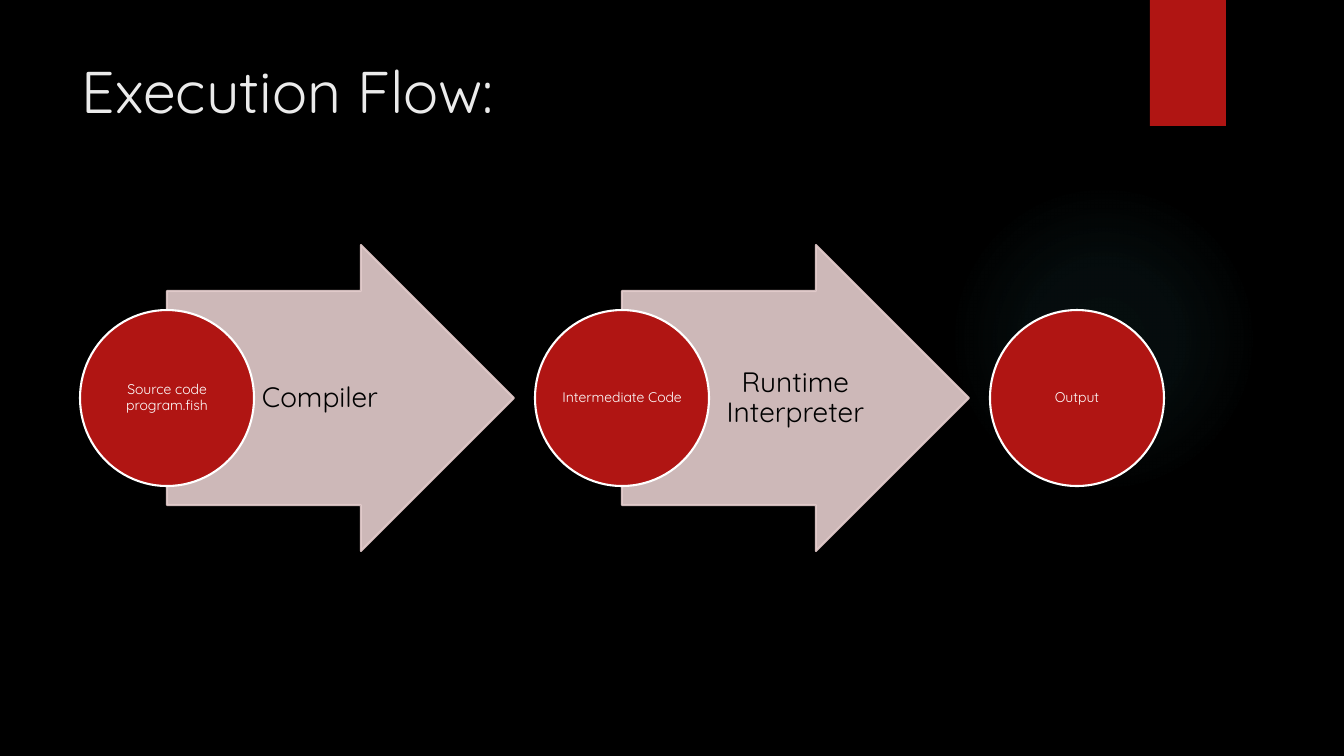
from dataclasses import dataclass

from lxml import etree
from pptx import Presentation
from pptx.dml.color import RGBColor
from pptx.enum.shapes import MSO_SHAPE
from pptx.enum.text import MSO_ANCHOR, MSO_AUTO_SIZE, PP_ALIGN
from pptx.oxml import parse_xml
from pptx.oxml.ns import nsdecls, qn
from pptx.util import Pt

OVAL, RECT = MSO_SHAPE.OVAL, MSO_SHAPE.RECTANGLE
TOP, MIDDLE = MSO_ANCHOR.TOP, MSO_ANCHOR.MIDDLE
LEFT, CENTER = PP_ALIGN.LEFT, PP_ALIGN.CENTER
NO_FIT = MSO_AUTO_SIZE.NONE
TITLE_ONLY = 5
EMU_PER_PX = 914400 / 100.8


@dataclass(frozen=True)
class Theme:
    font: str = "Quicksand"
    background: str = "000000"
    title: str = "EBEBEB"
    accent: str = "B01513"
    arrow: str = "E4CCCC"
    arrow_text: str = "000000"
    node_text: str = "FFFFFF"
    glow: str = "50B9C1"
    title_size: int = 42
    arrow_size: int = 20
    node_size: int = 10
    line_width: float = 1.5


THEME = Theme()
NODES = ["Source code program.fish", "Intermediate Code", "Output"]
STEPS = [("Compiler", LEFT, 95), ("Runtime Interpreter", CENTER, 70)]


def px(n):
    return round(n * EMU_PER_PX)


def set_attrs(obj, values):
    for name, value in values.items():
        setattr(obj, name, value)


def paint(shape, color, line=None):
    shape.shadow.inherit = False
    shape.fill.solid()
    shape.fill.fore_color.rgb = RGBColor.from_string(color)
    if line:
        shape.line.color.rgb = RGBColor.from_string(line)
        shape.line.width = Pt(THEME.line_width)
    else:
        shape.line.fill.background()


def set_opacity(shape, percent):
    for clr in shape.element.spPr.iter(qn("a:srgbClr")):
        etree.SubElement(clr, qn("a:alpha")).set("val", str(percent * 1000))


def write(shape, text, size, color, align, anchor, insets, spacing):
    tf = shape.text_frame
    left, top, right, bottom = map(px, insets)
    set_attrs(tf, {
        "text": text, "word_wrap": True, "auto_size": NO_FIT,
        "vertical_anchor": anchor, "margin_left": left, "margin_top": top,
        "margin_right": right, "margin_bottom": bottom,
    })
    p = tf.paragraphs[0]
    set_attrs(p, {"alignment": align, "line_spacing": spacing})
    font = p.runs[0].font
    set_attrs(font, {"name": THEME.font, "size": Pt(size)})
    font.color.rgb = RGBColor.from_string(color)


def add_glow(s, x, y, size):
    sp = s.shapes.add_shape(OVAL, *map(px, (x, y, size, size)))
    paint(sp, THEME.glow)
    stops = "".join(
        f'<a:gs pos="{pos * 1000}"><a:srgbClr val="{THEME.glow}">'
        f'<a:alpha val="{alpha * 1000}"/></a:srgbClr></a:gs>'
        for pos, alpha in [(0, 7), (36, 6), (69, 0), (100, 0)]
    )
    gradient = parse_xml(
        f'<a:gradFill {nsdecls("a")}><a:gsLst>{stops}</a:gsLst>'
        '<a:path path="circle"><a:fillToRect l="50000" t="50000" '
        'r="50000" b="50000"/></a:path></a:gradFill>'
    )
    spPr = sp.element.spPr
    spPr.replace(spPr.find(qn("a:solidFill")), gradient)


def add_ribbon(s, x, y, w, h):
    paint(s.shapes.add_shape(RECT, *map(px, (x, y, w, h))), THEME.accent)


def add_title(s, text, x, y, w, h):
    sp = s.shapes.title
    set_attrs(sp, dict(zip(("left", "top", "width", "height"), map(px, (x, y, w, h)))))
    write(sp, text, THEME.title_size, THEME.title, LEFT, TOP, (10, 5, 10, 5), 1.0)


def add_arrow(s, text, align, left_inset, x, y, w, h):
    neck, shoulder = x + w - h // 2, y + 46
    foot, bottom = y + h - 46, y + h
    builder = s.shapes.build_freeform(x, shoulder, scale=EMU_PER_PX)
    builder.add_line_segments([
        (neck, shoulder), (neck, y), (x + w, y + h / 2),
        (neck, bottom), (neck, foot), (x, foot),
    ])
    sp = builder.convert_to_shape()
    paint(sp, THEME.arrow, THEME.arrow)
    set_opacity(sp, 90)
    write(sp, text, THEME.arrow_size, THEME.arrow_text, align, MIDDLE,
          (left_inset, 34, 70, 34), 0.9)


def add_node(s, text, x, y, w, h):
    sp = s.shapes.add_shape(OVAL, *map(px, (x, y, w, h)))
    paint(sp, THEME.accent, THEME.node_text)
    write(sp, text, THEME.node_size, THEME.node_text, CENTER, MIDDLE,
          (0, 0, 0, 0), 0.9)


def add_flow(s, x, y, w, h):
    node_w, node_h = 174, 176
    pitch = (w - node_w) // (len(NODES) - 1)
    for i, text in enumerate(NODES):
        left = x + i * pitch
        if i < len(STEPS):
            add_arrow(s, *STEPS[i], left + node_w // 2, y, 347, h)
        add_node(s, text, left, y + (h - node_h) // 2, node_w, node_h)


def main():
    prs = Presentation()
    set_attrs(prs, {"slide_width": px(1344), "slide_height": px(756)})
    s = prs.slides.add_slide(prs.slide_layouts[TITLE_ONLY])
    fill = s.background.fill
    fill.solid()
    fill.fore_color.rgb = RGBColor.from_string(THEME.background)
    add_glow(s, 949, 184, 310)
    add_ribbon(s, 1150, 0, 76, 126)
    add_title(s, "Execution Flow:", 72, 50, 1037, 154)
    add_flow(s, 80, 245, 1084, 306)
    prs.save("out.pptx")


if __name__ == "__main__":
    main()
